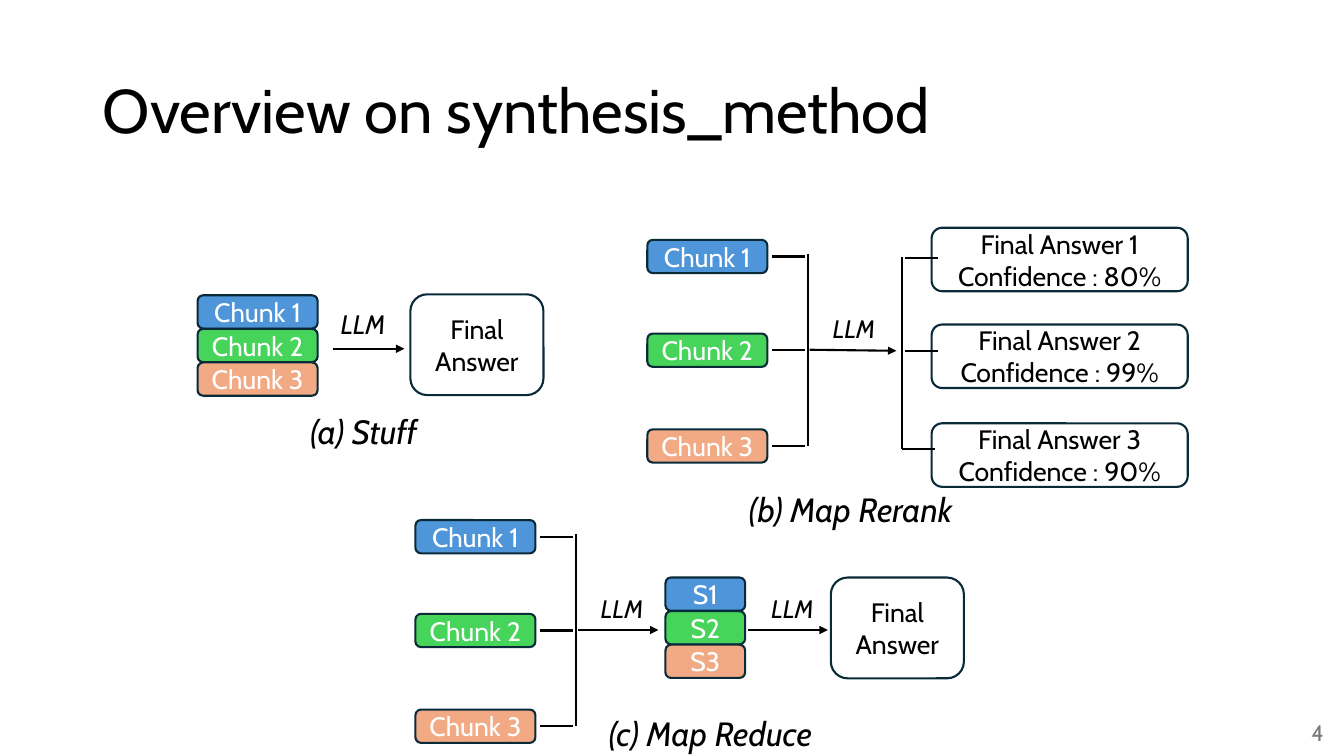
from pptx import Presentation
from pptx.dml.color import RGBColor
from pptx.enum.shapes import MSO_CONNECTOR, MSO_SHAPE
from pptx.enum.text import MSO_ANCHOR, MSO_AUTO_SIZE, PP_ALIGN
from pptx.oxml.ns import qn
from pptx.util import Inches, Pt
from lxml.etree import SubElement

BLACK = RGBColor(0x00, 0x00, 0x00)
WHITE = RGBColor(0xFF, 0xFF, 0xFF)
NAVY = RGBColor(0x09, 0x2A, 0x39)
GRAY = RGBColor(0x79, 0x79, 0x79)
BLUE = RGBColor(0x4E, 0x95, 0xD9)
GREEN = RGBColor(0x47, 0xD4, 0x5A)
ORANGE = RGBColor(0xF2, 0xAA, 0x84)
COLORS = [BLUE, GREEN, ORANGE]
FONT = "Cabin"

prs = Presentation()
prs.slide_width, prs.slide_height = Inches(13.33), Inches(7.5)
s = prs.slides.add_slide(prs.slide_layouts[5])


def add_box(x, y, w, h, lines, fill=None):
    sp = s.shapes.add_shape(MSO_SHAPE.ROUNDED_RECTANGLE, Inches(x), Inches(y), Inches(w), Inches(h))
    sp.shadow.inherit = False
    if fill is None:
        sp.fill.background()
    else:
        sp.fill.solid()
        sp.fill.fore_color.rgb = fill
    sp.line.color.rgb = NAVY
    sp.line.width = Pt(1.5)
    tf = sp.text_frame
    tf.word_wrap = True
    tf.vertical_anchor = MSO_ANCHOR.MIDDLE
    for i, line in enumerate(lines):
        p = tf.add_paragraph() if i else tf.paragraphs[0]
        p.alignment = PP_ALIGN.CENTER
        r = p.add_run()
        r.text = line
        r.font.name, r.font.size = FONT, Pt(19)
        r.font.color.rgb = BLACK if fill is None else WHITE


def add_line(x1, y1, x2, y2, arrow=False):
    cx = s.shapes.add_connector(MSO_CONNECTOR.STRAIGHT, Inches(x1), Inches(y1), Inches(x2), Inches(y2))
    cx.line.color.rgb = BLACK
    cx.line.width = Pt(1.5)
    if arrow:
        SubElement(cx.line._get_or_add_ln(), qn("a:tailEnd"), type="triangle")
    SubElement(cx._element.spPr, qn("a:effectLst"))


title = s.shapes.title
title.left, title.top, title.width, title.height = Inches(0.92), Inches(0.4), Inches(11.5), Inches(1.45)
tf = title.text_frame
tf.vertical_anchor = MSO_ANCHOR.MIDDLE
p = tf.paragraphs[0]
p.alignment = PP_ALIGN.LEFT
p.line_spacing = 0.9
r = p.add_run()
r.text = "Overview on synthesis_method"
r.font.name, r.font.size = FONT, Pt(44)
r.font.color.rgb = BLACK

for x, y, w, name in [(1.96, 2.93, 1.19, "Chunk "), (6.6, 5.73, 0.79, "S")]:
    for i, color in enumerate(COLORS):
        add_box(x, y + i * 0.333, w, 0.33, [f"{name}{i + 1}"], color)

for x, y in [(6.42, 2.38), (4.12, 5.16)]:
    for i, (dy, color) in enumerate(zip([0, 0.93, 1.88], COLORS)):
        add_box(x, y + dy, 1.19, 0.33, [f"Chunk {i + 1}"], color)
        add_line(x + 1.24, y + dy + 0.165, x + 1.56, y + dy + 0.165)
    add_line(x + 1.59, y + 0.14, x + 1.59, y + 2.04)

for x, y in [(4.07, 2.92), (8.24, 5.73)]:
    add_box(x, y, 1.32, 1, ["Final Answer"])

answers = [(2.26, 80, 8.98, 2.56), (3.22, 99, 8.98, 3.48), (4.2, 90, 8.95, 4.45)]
for i, (y, confidence, x_line, y_line) in enumerate(answers):
    add_box(9.24, y, 2.54, 0.63, [f"Final Answer {i + 1}", f"Confidence : {confidence}%"])
    add_line(x_line, y_line, x_line + 0.32, y_line)
add_line(8.95, 2.55, 8.95, 4.45)

for x1, y1, x2, y2 in [
    (3.3, 3.46, 4.01, 3.46),
    (8.03, 3.47, 8.89, 3.48),
    (5.73, 6.25, 6.53, 6.25),
    (7.42, 6.25, 8.21, 6.25),
]:
    add_line(x1, y1, x2, y2, arrow=True)

for x, y, w, h, text, size in [
    (3.28, 3.01, 0.71, 0.43, "LLM", 19),
    (8.16, 3.06, 0.88, 0.4, "LLM", 18),
    (5.86, 5.84, 0.88, 0.4, "LLM", 18),
    (7.55, 5.84, 0.88, 0.4, "LLM", 18),
    (2.98, 4.03, 1.32, 0.5, "(a) Stuff", 24),
    (7.33, 4.8, 2.66, 0.5, "(b) Map Rerank", 24),
    (5.94, 7.02, 3.2, 0.5, "(c) Map Reduce", 24),
]:
    tf = s.shapes.add_textbox(Inches(x), Inches(y), Inches(w), Inches(h)).text_frame
    tf.word_wrap = text != "(a) Stuff"
    tf.auto_size = MSO_AUTO_SIZE.SHAPE_TO_FIT_TEXT
    r = tf.paragraphs[0].add_run()
    r.text = text
    r.font.name, r.font.size, r.font.italic = FONT, Pt(size), True
    r.font.color.rgb = BLACK

tf = s.shapes.add_textbox(Inches(10.23), Inches(7.07), Inches(3), Inches(0.4)).text_frame
tf.word_wrap = True
tf.vertical_anchor = MSO_ANCHOR.MIDDLE
p = tf.paragraphs[0]
p.alignment = PP_ALIGN.RIGHT
r = p.add_run()
r.text = "4"
r.font.name, r.font.size = FONT, Pt(16)
r.font.color.rgb = GRAY

prs.save("out.pptx")
